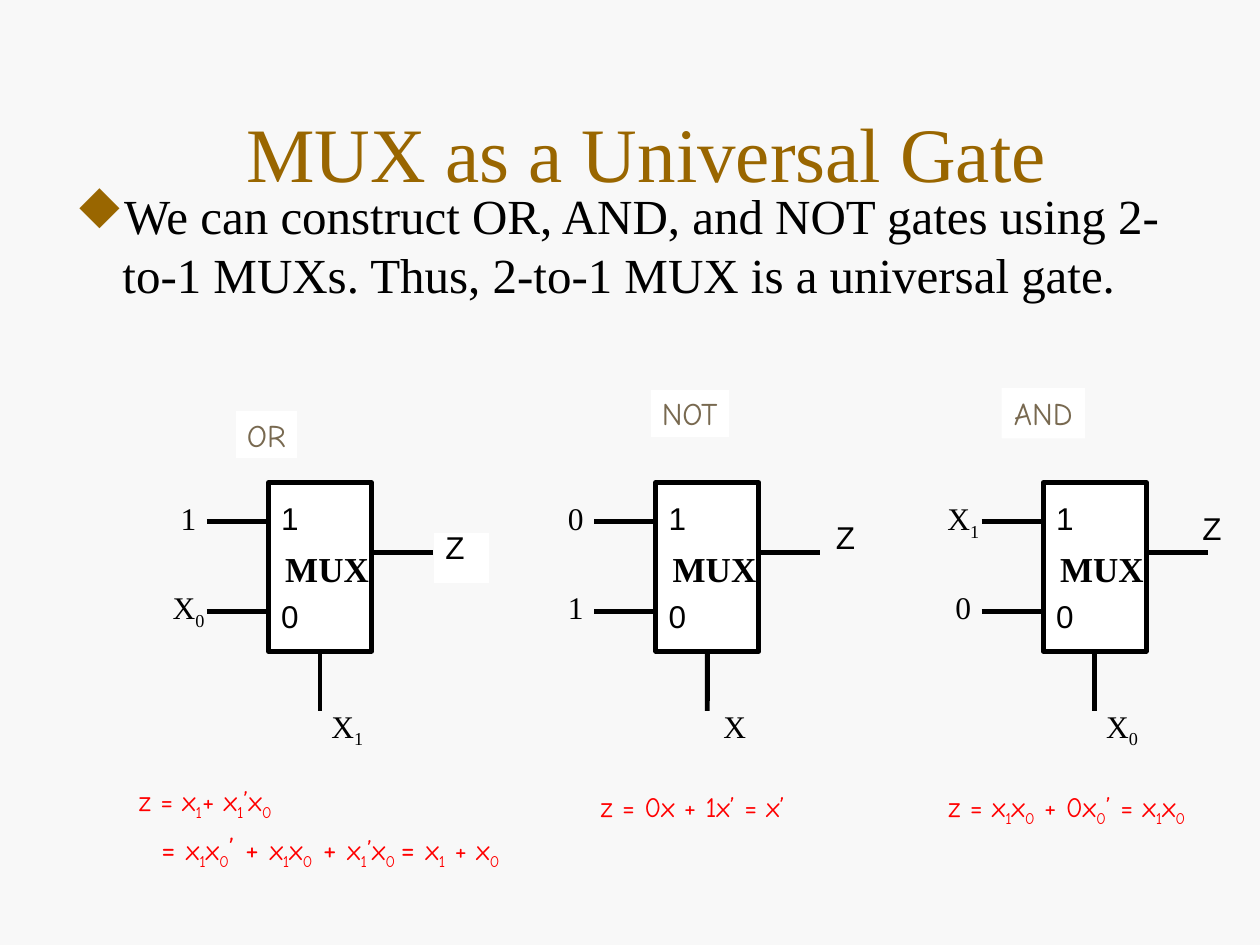
from dataclasses import dataclass
from typing import NamedTuple

from lxml import etree
from pptx import Presentation
from pptx.dml.color import RGBColor
from pptx.enum.shapes import MSO_CONNECTOR, MSO_SHAPE
from pptx.enum.text import MSO_ANCHOR, PP_ALIGN
from pptx.oxml.ns import qn
from pptx.util import Cm, Pt

STRAIGHT = MSO_CONNECTOR.STRAIGHT
RECTANGLE, PROCESS = MSO_SHAPE.RECTANGLE, MSO_SHAPE.FLOWCHART_PROCESS
LEFT, CENTER = PP_ALIGN.LEFT, PP_ALIGN.CENTER
TOP, MIDDLE = MSO_ANCHOR.TOP, MSO_ANCHOR.MIDDLE
BOTTOM_SIDE = 2

COLORS = {"background": "F8F8F8", "accent": "996600", "ink": "000000",
          "white": "FFFFFF", "gate": "786950", "formula": "FF0000"}
SERIF, SANS, HAND = "Times New Roman", "Arial", "Comic Neue"
BULLET_FONT, DIAMOND = "Wingdings", "u"

# Shared geometry of the three multiplexers, in cm
MUX_LEFT, MUX_PITCH, MUX_TOP = 5.41, 7.81, 9.73
MUX_WIDTH, MUX_HEIGHT, WIRE = 2.08, 3.4, 1.24
INPUT_WIRES, OUTPUT_WIRE, SELECT_END = (10.52, 12.32), 11.13, 14.33
INPUT_LABELS, PIN_LABELS = (9.93, 11.73), (9.93, 11.91)


class Box(NamedTuple):
    left: float
    top: float
    width: float
    height: float


class Style(NamedTuple):
    font: str
    size: float
    color: str
    bold: bool = False
    align: PP_ALIGN = CENTER


class Segment(NamedTuple):
    """Text where "_" lowers the next character, with an optional own size."""
    text: str
    size: float | None = None


@dataclass
class Formula:
    box: Box
    lines: list[list[Segment]]
    wrap: bool = True


@dataclass
class Gate:
    name: str
    name_box: Box
    inputs: tuple[str, str]
    select: str
    output_box: Box
    formula: Formula
    name_outlined: bool = True


SIGNAL = Style(SERIF, 18, "ink")
PIN = Style(SANS, 18, "ink")
MUX = Style(SERIF, 20, "ink", bold=True)
GATE_NAME = Style(HAND, 18, "gate")
FORMULA = Style(HAND, 16, "formula", align=LEFT)
TITLE = Style(SERIF, 44, "accent")
BODY = Style(SERIF, 28, "ink", align=LEFT)

GATES = [
    Gate("OR", Box(4.72, 8.26, 1.3, 1.02), ("1", "X_0"), "X_1",
         Box(8.64, 10.52, 1.07, 1.02),
         Formula(Box(2.55, 15.67, 8.6, 2.01), [
             [Segment("z = x_1+ x_1’x_0")],
             [Segment("= ", 18), Segment("x_1x_0"), Segment("’ + ", 18),
              Segment("x_1x_0"), Segment(" + ", 18), Segment("x_1’x_0_ "),
              Segment("= ", 18), Segment("x_1 + x_0")]])),
    Gate("NOT", Box(13.08, 7.82, 1.65, 1.02), ("0", "1"), "X",
         Box(16.51, 10.31, 1.07, 1.02),
         Formula(Box(11.86, 15.8, 5.92, 0.94),
                 [[Segment("z = 0x + 1x’ = x’")]])),
    Gate("AND", Box(20.19, 7.82, 1.68, 1.02), ("X_1", "0"), "X_0",
         Box(23.9, 10.13, 1.07, 1.02),
         Formula(Box(18.87, 15.8, 5.28, 1.04),
                 [[Segment("z = x_1x_0 + 0x_0’ = x_1x_0")]], wrap=False),
         name_outlined=False),
]


def rgb(name: str) -> RGBColor:
    return RGBColor.from_string(COLORS[name])


def cm(box: Box) -> list[Cm]:
    return [Cm(length) for length in box]


def format_paragraph(paragraph, style: Style) -> None:
    paragraph.alignment = style.align
    font = paragraph.font
    font.name, font.size, font.bold = style.font, Pt(style.size), style.bold
    font.color.rgb = rgb(style.color)


def add_segment(paragraph, segment: Segment) -> None:
    plain, *lowered = segment.text.split("_")
    parts = [(plain, False)]
    for piece in lowered:
        parts += [(piece[0], True), (piece[1:], False)]
    for text, is_subscript in parts:
        if not text:
            continue
        run = paragraph.add_run()
        run.text = text
        if segment.size:
            run.font.size = Pt(segment.size)
        if is_subscript:
            run.font._element.set("baseline", "-25000")


def write(frame, text: str, style: Style, wrap: bool = False, anchor=TOP) -> None:
    frame.word_wrap, frame.vertical_anchor = wrap, anchor
    add_segment(frame.paragraphs[0], Segment(text))
    format_paragraph(frame.paragraphs[0], style)


def add_label(shapes, box: Box, text: str, style: Style) -> None:
    write(shapes.add_textbox(*cm(box)).text_frame, text, style)


def add_block(shapes, kind, box: Box, line: str | None, weight: float = 2):
    """Draw a white block, outlined if a line colour is named."""
    block = shapes.add_shape(kind, *cm(box))
    block.shadow.inherit = False
    block.fill.solid()
    block.fill.fore_color.rgb = rgb("white")
    if line:
        block.line.color.rgb = rgb(line)
        block.line.width = Pt(weight)
    else:
        block.line.fill.background()
    return block


def add_wire(shapes, x1: float, y1: float, x2: float, y2: float):
    wire = shapes.add_connector(STRAIGHT, Cm(x1), Cm(y1), Cm(x2), Cm(y2))
    wire.line.color.rgb = rgb("ink")
    wire.line.width = Pt(2.75)
    etree.SubElement(wire._element.spPr, qn("a:effectLst"))
    return wire


def add_mux(shapes, left: float, gate: Gate) -> None:
    right, bottom, middle = left + MUX_WIDTH, MUX_TOP + MUX_HEIGHT, left + MUX_WIDTH / 2
    body = add_block(shapes, RECTANGLE, Box(left, MUX_TOP, MUX_WIDTH, MUX_HEIGHT),
                     "ink", 2.75)
    add_wire(shapes, right, OUTPUT_WIRE, right + WIRE, OUTPUT_WIRE)
    for y in INPUT_WIRES:
        add_wire(shapes, left - WIRE, y, left, y)
    select_wire = add_wire(shapes, middle, bottom, middle, SELECT_END)
    select_wire.begin_connect(body, BOTTOM_SIDE)
    for signal, top in zip(gate.inputs, INPUT_LABELS):
        add_label(shapes, Box(left - 2.31, top, 1.4, 1.02), signal, SIGNAL)
    for pin, top in zip("10", PIN_LABELS):
        add_label(shapes, Box(left - 0.1, top, 1.07, 1.02), pin, PIN)
    add_label(shapes, Box(left + 0.08, 10.92, 2.21, 1.12), "MUX", MUX)
    add_label(shapes, Box(left + 0.89, 14.12, 1.4, 1.02), gate.select, SIGNAL)


def add_formula(shapes, formula: Formula) -> None:
    frame = shapes.add_textbox(*cm(formula.box)).text_frame
    frame.word_wrap = formula.wrap
    for index, line in enumerate(formula.lines):
        paragraph = frame.add_paragraph() if index else frame.paragraphs[0]
        if index:
            paragraph.space_before = Pt(4)
            paragraph._p.get_or_add_pPr().set("marL", str(Cm(0.45)))
        for segment in line:
            add_segment(paragraph, segment)
        format_paragraph(paragraph, FORMULA)


def add_statement(shapes, box: Box, text: str) -> None:
    frame = shapes.add_textbox(*cm(box)).text_frame
    properties = frame.paragraphs[0]._p.get_or_add_pPr()
    properties.set("marL", str(Cm(0.95)))
    properties.set("indent", str(Cm(-0.95)))
    bullet_color = etree.SubElement(properties, qn("a:buClr"))
    etree.SubElement(bullet_color, qn("a:srgbClr"), val=COLORS["accent"])
    etree.SubElement(properties, qn("a:buFont"), typeface=BULLET_FONT, charset="2")
    etree.SubElement(properties, qn("a:buChar"), char=DIAMOND)
    write(frame, text, BODY, wrap=True)


def main() -> None:
    deck = Presentation()
    deck.slide_width, deck.slide_height = Cm(25.4), Cm(19.05)
    slide = deck.slides.add_slide(deck.slide_layouts[5])
    slide.background.fill.solid()
    slide.background.fill.fore_color.rgb = rgb("background")
    shapes = slide.shapes

    title = shapes.title
    title.left, title.top, title.width, title.height = cm(Box(1.3, 1.47, 23.47, 3.18))
    write(title.text_frame, "MUX as a Universal Gate", TITLE, wrap=True, anchor=MIDDLE)
    add_statement(shapes, Box(1.27, 3.61, 22.43, 12.57),
                  "We can construct OR, AND, and NOT gates using 2-to-1 MUXs. "
                  "Thus, 2-to-1 MUX is a universal gate.")

    add_block(shapes, PROCESS, Box(8.71, 10.72, 1.19, 1.07), "background")
    for index, gate in enumerate(GATES):
        name = add_block(shapes, RECTANGLE, gate.name_box,
                         "background" if gate.name_outlined else None)
        write(name.text_frame, gate.name, GATE_NAME)
        add_mux(shapes.add_group_shape().shapes, MUX_LEFT + index * MUX_PITCH, gate)
        add_label(shapes, gate.output_box, "Z", PIN)
        add_formula(shapes, gate.formula)

    deck.save("out.pptx")


if __name__ == "__main__":
    main()
